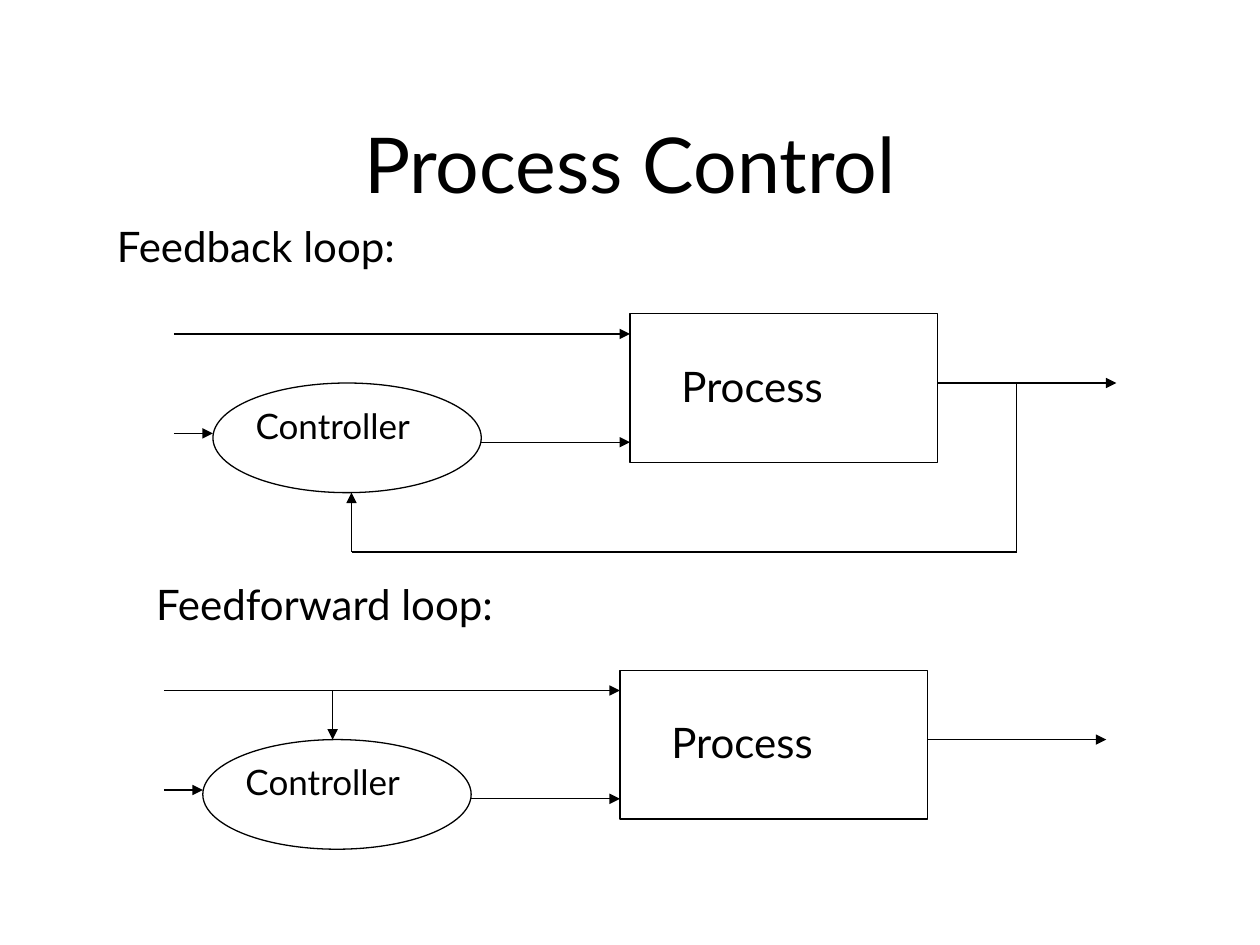
from lxml import etree
from pptx import Presentation
from pptx.dml.color import RGBColor
from pptx.enum.shapes import MSO_CONNECTOR, MSO_SHAPE
from pptx.enum.text import MSO_ANCHOR, PP_ALIGN
from pptx.oxml.ns import qn
from pptx.util import Inches, Pt

BLACK = RGBColor(0x00, 0x00, 0x00)
FONT = "Lato"
LINE_WIDTH = Pt(0.75)
STRAIGHT = MSO_CONNECTOR.STRAIGHT
ELLIPSE = MSO_SHAPE.OVAL
RECTANGLE = MSO_SHAPE.RECTANGLE
TOP = MSO_ANCHOR.TOP
MIDDLE = MSO_ANCHOR.MIDDLE
LEFT = PP_ALIGN.LEFT
CENTER = PP_ALIGN.CENTER
TITLE_ONLY = 5


def write_text(shape, text, size=24, align=LEFT, anchor=TOP):
    frame = shape.text_frame
    frame.word_wrap = True
    frame.vertical_anchor = anchor
    paragraph = frame.paragraphs[0]
    paragraph.text = text
    paragraph.alignment = align
    paragraph.font.name = FONT
    paragraph.font.size = Pt(size)
    paragraph.font.color.rgb = BLACK


def add_label(shapes, text, left, top, width, height, **text_format):
    label = shapes.add_textbox(Inches(left), Inches(top), Inches(width), Inches(height))
    write_text(label, text, **text_format)


def add_outline(shapes, kind, left, top, width, height):
    shape = shapes.add_shape(kind, Inches(left), Inches(top), Inches(width), Inches(height))
    shape.shadow.inherit = False
    shape.fill.background()
    shape.line.color.rgb = BLACK
    shape.line.width = LINE_WIDTH


def add_line(shapes, start, end, arrow=True):
    line = shapes.add_connector(STRAIGHT, *(Inches(value) for value in (*start, *end)))
    line.line.color.rgb = BLACK
    line.line.width = LINE_WIDTH
    if arrow:
        etree.SubElement(line.line._get_or_add_ln(), qn("a:tailEnd"), type="triangle")
    etree.SubElement(line._element.spPr, qn("a:effectLst"))


def add_loop(slide, left, top):
    """Draw the parts both loops share and return their group's shapes."""
    shapes = slide.shapes.add_group_shape().shapes
    add_outline(shapes, ELLIPSE, left + 0.31, top + 0.55, 2.13, 0.87)
    add_label(shapes, "Controller", left + 0.55, top + 0.67, 1.73, 0.44, size=20)
    add_outline(shapes, RECTANGLE, left + 3.62, top, 2.44, 1.18)
    add_label(shapes, "Process", left + 3.93, top + 0.32, 2.05, 0.5)
    for start, end, height in (
        (2.44, 3.62, 1.02),  # controller to process
        (0, 3.62, 0.16),     # input to process
        (6.06, 7.48, 0.55),  # process to output
        (0, 0.31, 0.95),     # input to controller
    ):
        add_line(shapes, (left + start, top + height), (left + end, top + height))
    return shapes


def add_feedback_loop(slide, left, top):
    shapes = add_loop(slide, left, top)
    controller_x, output_x, return_y = left + 1.41, left + 6.69, top + 1.89
    add_line(shapes, (output_x, top + 0.55), (output_x, return_y), arrow=False)
    add_line(shapes, (controller_x, return_y), (output_x, return_y), arrow=False)
    add_line(shapes, (controller_x, return_y), (controller_x, top + 1.42))
    add_label(slide.shapes, "Feedback loop:", left - 0.55, top - 0.79, 2.44, 0.9)


def add_feedforward_loop(slide, left, top):
    shapes = add_loop(slide, left, top)
    add_line(shapes, (left + 1.34, top + 0.16), (left + 1.34, top + 0.55))
    add_label(slide.shapes, "Feedforward loop:", left - 0.16, top - 0.78, 3.47, 0.5)


def add_title(slide, left, top, width, height):
    title = slide.shapes.title
    title.left, title.top = Inches(left), Inches(top)
    title.width, title.height = Inches(width), Inches(height)
    write_text(title, "Process Control", size=44, align=CENTER, anchor=MIDDLE)


def main():
    presentation = Presentation()
    presentation.slide_width, presentation.slide_height = Inches(10), Inches(7.5)
    slide = presentation.slides.add_slide(presentation.slide_layouts[TITLE_ONLY])
    add_title(slide, 0.75, 0.67, 8.5, 1.25)
    add_feedback_loop(slide, 1.38, 2.49)
    add_feedforward_loop(slide, 1.3, 5.32)
    presentation.save("out.pptx")


if __name__ == "__main__":
    main()
